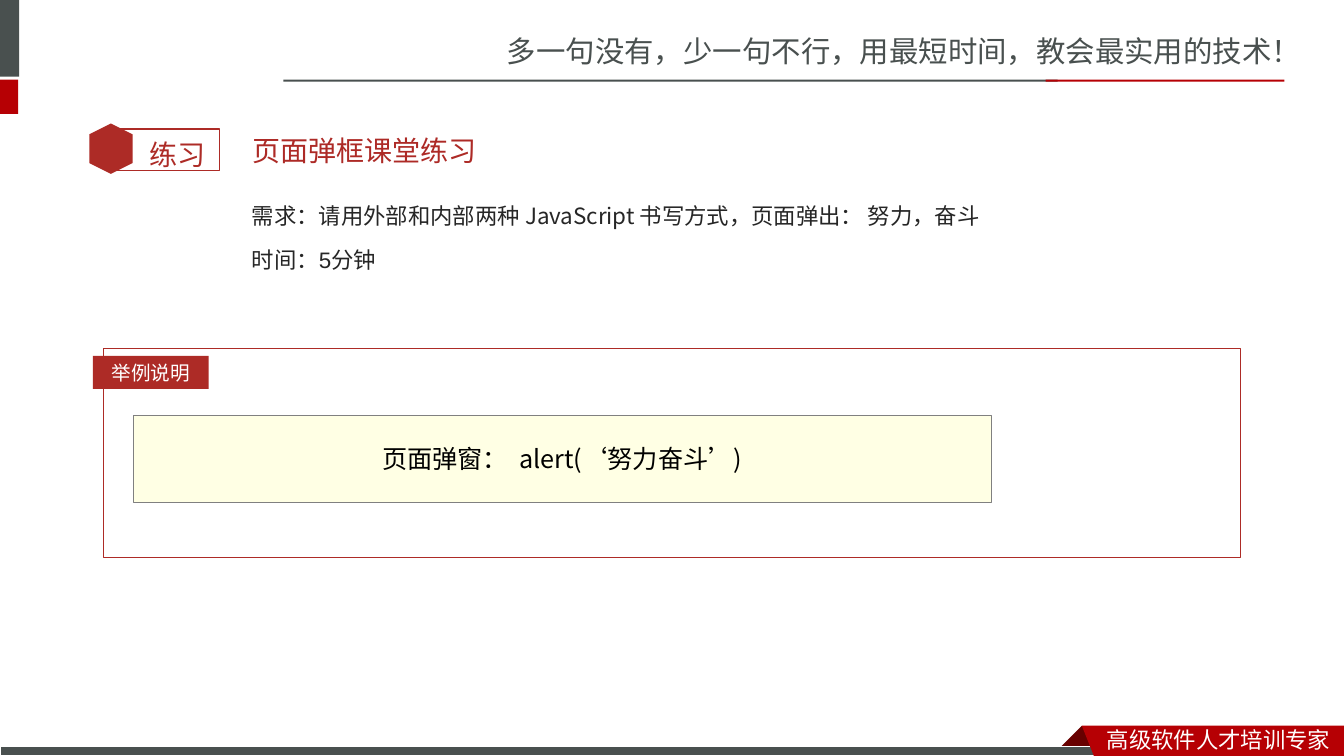
from lxml.etree import SubElement
from pptx import Presentation
from pptx.dml.color import RGBColor
from pptx.enum.shapes import MSO_SHAPE as SHAPE
from pptx.enum.text import MSO_ANCHOR as ANCHOR, PP_ALIGN as ALIGN
from pptx.oxml.ns import qn
from pptx.util import Inches, Pt

GREY, RED, DARK_RED, CRIMSON = "49504F", "B60004", "680000", "AD2B26"
WHITE, BLACK, INK = "FFFFFF", "000000", "262626"
SANS, SANS_JP = "Noto Sans CJK SC", "Noto Sans CJK JP"


def rgb(hex_text):
    return RGBColor.from_string(hex_text)


def set_font(p, name, size, color):
    p.font.name = name
    p.font.size = Pt(size)
    p.font.color.rgb = rgb(color)
    ea = SubElement(p._p.pPr.find(qn("a:defRPr")), qn("a:ea"))
    ea.set("typeface", name if "CJK" in name else SANS)


def paint(sp, fill=None, line=None, width=0.75):
    sp.shadow.inherit = False
    if fill:
        sp.fill.solid()
        sp.fill.fore_color.rgb = rgb(fill)
    else:
        sp.fill.background()
    if line:
        sp.line.color.rgb = rgb(line)
        sp.line.width = Pt(width)
    else:
        sp.line.fill.background()


def add_box(s, x, y, w, h, fill=None, line=None, width=0.75, kind=SHAPE.RECTANGLE):
    sp = s.shapes.add_shape(kind, Inches(x), Inches(y), Inches(w), Inches(h))
    paint(sp, fill, line, width)
    return sp


def add_outline(s, points, fill):
    corners = [(Inches(x), Inches(y)) for x, y in points]
    builder = s.shapes.build_freeform(*corners[0])
    builder.add_line_segments(corners[1:])
    paint(builder.convert_to_shape(), fill)


def add_text(s, x, y, w, h, text, name, size, color):
    tf = s.shapes.add_textbox(Inches(x), Inches(y), Inches(w), Inches(h)).text_frame
    tf.word_wrap = True
    tf.text = text
    for p in tf.paragraphs:
        set_font(p, name, size, color)
    return tf


def add_label(sp, text, name, size, color):
    tf = sp.text_frame
    tf.word_wrap = True
    tf.vertical_anchor = ANCHOR.MIDDLE
    tf.text = text
    p = tf.paragraphs[0]
    p.alignment = ALIGN.CENTER
    set_font(p, name, size, color)


def add_header(s, x, y, w):
    add_text(s, x + 4.93, y + 0.28, w - 4.93, 0.47,
             "多一句没有，少一句不行，用最短时间，教会最实用的技术！", SANS, 21, GREY)
    add_box(s, x, y, 0.19, 0.76, GREY)
    add_box(s, x, y + 0.79, 0.18, 0.34, RED)
    add_box(s, x + 2.81, y + 0.79, 7.68, 0.02, GREY)
    add_box(s, x + 10.37, y + 0.79, 2.37, 0.02, RED)


def add_footer(s, x, y, w, h):
    right, bottom = x + w, y + h
    fold = right - 2.6
    add_outline(s, [(fold, y), (fold + 0.22, y + 0.22), (fold - 0.22, y + 0.22)], DARK_RED)
    add_box(s, x, bottom - 0.09, w - 2.34, 0.09, GREY, WHITE)
    add_outline(s, [(fold, y), (right, y), (right, bottom), (fold + 0.12, bottom)], RED)
    add_text(s, right - 2.45, y - 0.05, 2.45, 0.37, "高级软件人才培训专家", SANS, 16, WHITE)


def add_badge(s, x, y, w, h):
    add_box(s, x + 0.24, y + 0.02, w - 0.24, 0.41, line=CRIMSON, width=1)
    hexagon = add_box(s, x, y, 0.5, 0.43, CRIMSON, kind=SHAPE.HEXAGON)
    hexagon.rotation = 90
    tf = add_text(s, x + 0.53, y - 0.11, 0.85, h + 0.13, "练习", "Arial", 20, CRIMSON)
    tf.paragraphs[0].line_spacing = 1.5


def add_title(s, x, y, w, h):
    title = s.shapes.title
    title.left, title.top, title.width, title.height = map(Inches, (x, y, w, h))
    tf = title.text_frame
    tf.text = "页面弹框课堂练习"
    tf.vertical_anchor = ANCHOR.MIDDLE
    p = tf.paragraphs[0]
    p.alignment = ALIGN.LEFT
    p.space_before = Pt(4)
    set_font(p, "Roboto", 20, "AD2A26")


def add_task(s, x, y, w, h):
    tf = add_text(s, x, y, w, h, "需求：\n时间：5分钟", "Arial", 16, INK)
    for p in tf.paragraphs:
        p.line_spacing = 1.5
        p.space_before = Pt(3.2)
    r = tf.paragraphs[0].add_run()
    r.text = "请用外部和内部两种 JavaScript 书写方式，页面弹出： 努力，奋斗"
    r.font.name = SANS


def add_example(s, x, y, w, h):
    add_box(s, x, y, w, h, line=CRIMSON)
    tag = add_box(s, x - 0.11, y + 0.07, 1.15, 0.33, CRIMSON)
    add_label(tag, "举例说明", "Arial", 14, WHITE)
    code = add_box(s, x + 0.29, y + 0.66, 8.51, 0.86, "FFFFE4", "808080", 0.25)
    add_label(code, "页面弹窗：  alert(‘努力奋斗’)", SANS_JP, 18, BLACK)


def main():
    prs = Presentation()
    prs.slide_width, prs.slide_height = Inches(13.33), Inches(7.5)
    s = prs.slides.add_slide(prs.slide_layouts[5])
    add_header(s, 0, 0, 13.33)
    add_footer(s, 0, 7.2, 13.33, 0.3)
    add_badge(s, 0.85, 1.26, 1.33, 0.43)
    add_title(s, 2.4, 1.21, 10.08, 0.57)
    add_task(s, 2.4, 1.82, 10.08, 1.2)
    add_example(s, 1.03, 3.46, 11.27, 2.07)
    prs.save("out.pptx")


if __name__ == "__main__":
    main()
